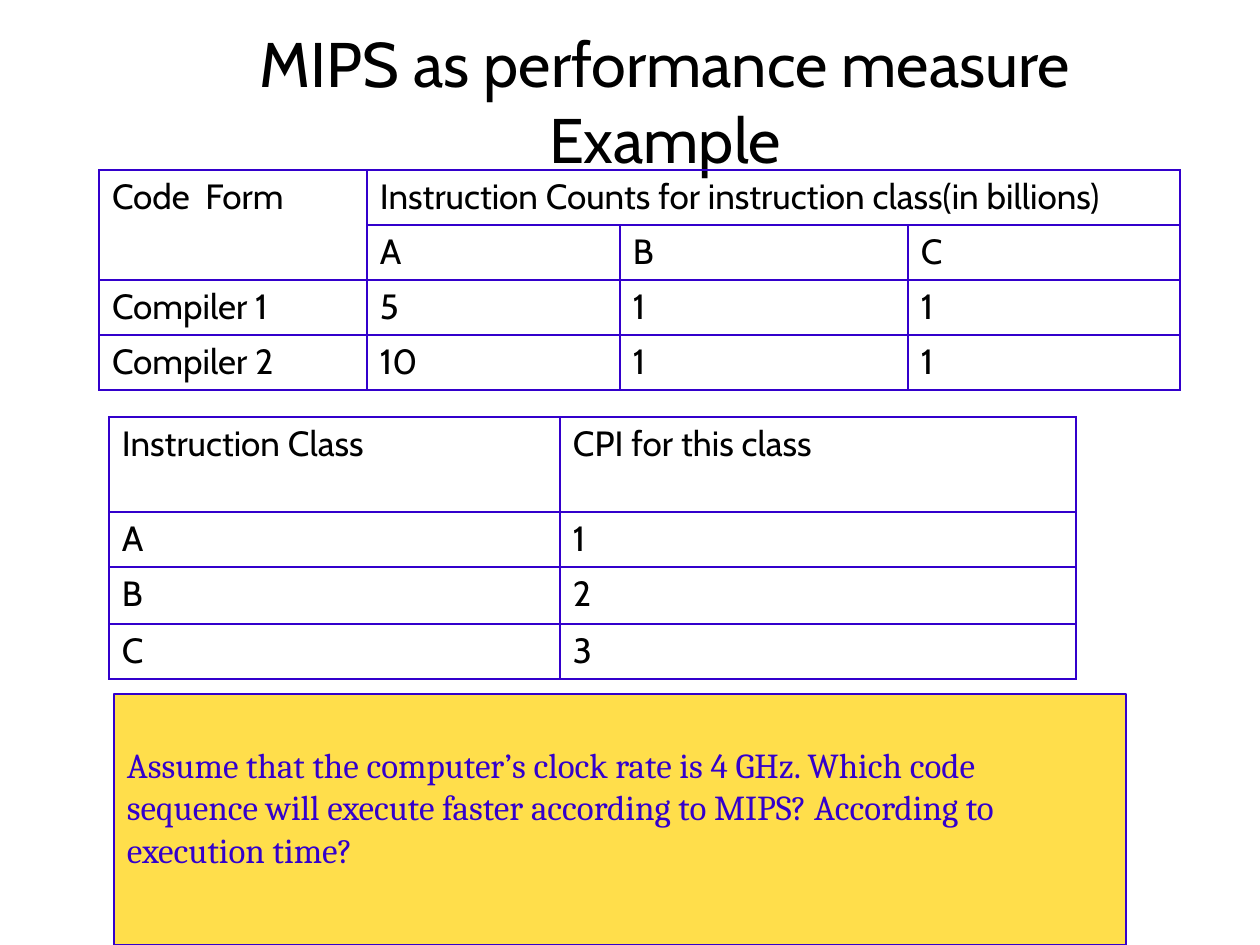
"""Build a slide with an example of MIPS as a performance measure."""
from lxml import etree
from pptx import Presentation, util as u
from pptx.dml import color
from pptx.enum import shapes, text
from pptx.oxml import ns

PX = 914400 / 126
INK, RULE, PANEL = "000000", "3300CC", "FFDE4B"


def px(length):
    return u.Emu(round(length * PX))


def add_run(paragraph, words, size, font, hue):
    run = paragraph.add_run()
    run.text = words
    run.font.size = u.Pt(size)
    run.font.name = font
    run.font.color.rgb = color.RGBColor.from_string(hue)


deck = Presentation()
deck.slide_width, deck.slide_height = px(1260), px(945)
slide = deck.slides.add_slide(deck.slide_layouts[6])

title = slide.shapes.add_textbox(px(95), px(21), px(1101), px(158)).text_frame
title.word_wrap = True
title.vertical_anchor = text.MSO_ANCHOR.MIDDLE
title.margin_left, title.margin_right = px(52), px(13)
heading = title.paragraphs[0]
heading.alignment = text.PP_ALIGN.CENTER
add_run(heading, "MIPS as performance measure", 36, "Cabin", INK)
heading.add_line_break()
add_run(heading, "Example", 36, "Cabin", INK)

counts = [
    ["Code  Form", "Instruction Counts for instruction class(in billions)", "", ""],
    ["", "A", "B", "C"],
    ["Compiler 1", "5", "1", "1"],
    ["Compiler 2", "10", "1", "1"],
]
cycles = [["Instruction Class", "CPI for this class"], ["A", "1"], ["B", "2"], ["C", "3"]]
tables = [
    (99, 170, [268, 253, 288, 272], [55, 55, 55, 55], counts, [(0, 0, 1, 0), (0, 1, 0, 3)]),
    (109, 417, [451, 516], [95, 55, 57, 55], cycles, []),
]

for left, top, widths, heights, values, merges in tables:
    grid = slide.shapes.add_table(
        len(heights), len(widths), px(left), px(top), px(sum(widths)), px(sum(heights))
    ).table
    grid.first_row = grid.horz_banding = False
    for column, width in zip(grid.columns, widths):
        column.width = px(width)
    for row, height, entries in zip(grid.rows, heights, values):
        row.height = px(height)
        for cell, entry in zip(row.cells, entries):
            cell.fill.background()
            cell.margin_left = cell.margin_right = px(13)
            cell.margin_top = cell.margin_bottom = px(6)
            if entry:
                add_run(cell.text_frame.paragraphs[0], entry, 20, "Cabin", INK)
            properties = cell._tc.get_or_add_tcPr()
            for place, side in enumerate(("lnL", "lnR", "lnT", "lnB")):
                border = etree.Element(ns.qn(f"a:{side}"), w=str(u.Pt(1)))
                fill = etree.SubElement(border, ns.qn("a:solidFill"))
                etree.SubElement(fill, ns.qn("a:srgbClr"), val=RULE)
                properties.insert(place, border)
    for first_row, first_column, last_row, last_column in merges:
        grid.cell(first_row, first_column).merge(grid.cell(last_row, last_column))

panel = slide.shapes.add_shape(
    shapes.MSO_SHAPE.RECTANGLE, px(114), px(694), px(1012), px(251)
)
panel.shadow.inherit = False
panel.fill.solid()
panel.fill.fore_color.rgb = color.RGBColor.from_string(PANEL)
panel.line.color.rgb = color.RGBColor.from_string(RULE)
panel.line.width = u.Pt(0.75)
question = panel.text_frame
question.word_wrap = True
question.vertical_anchor = text.MSO_ANCHOR.TOP
question.margin_left = question.margin_right = px(13)
question.margin_top = px(50)
question.paragraphs[0].alignment = text.PP_ALIGN.LEFT
add_run(
    question.paragraphs[0],
    "Assume that the computer’s clock rate is 4 GHz. Which code sequence will "
    "execute faster according to MIPS? According to execution time?",
    20, "Cambria", RULE,
)

deck.save("out.pptx")
